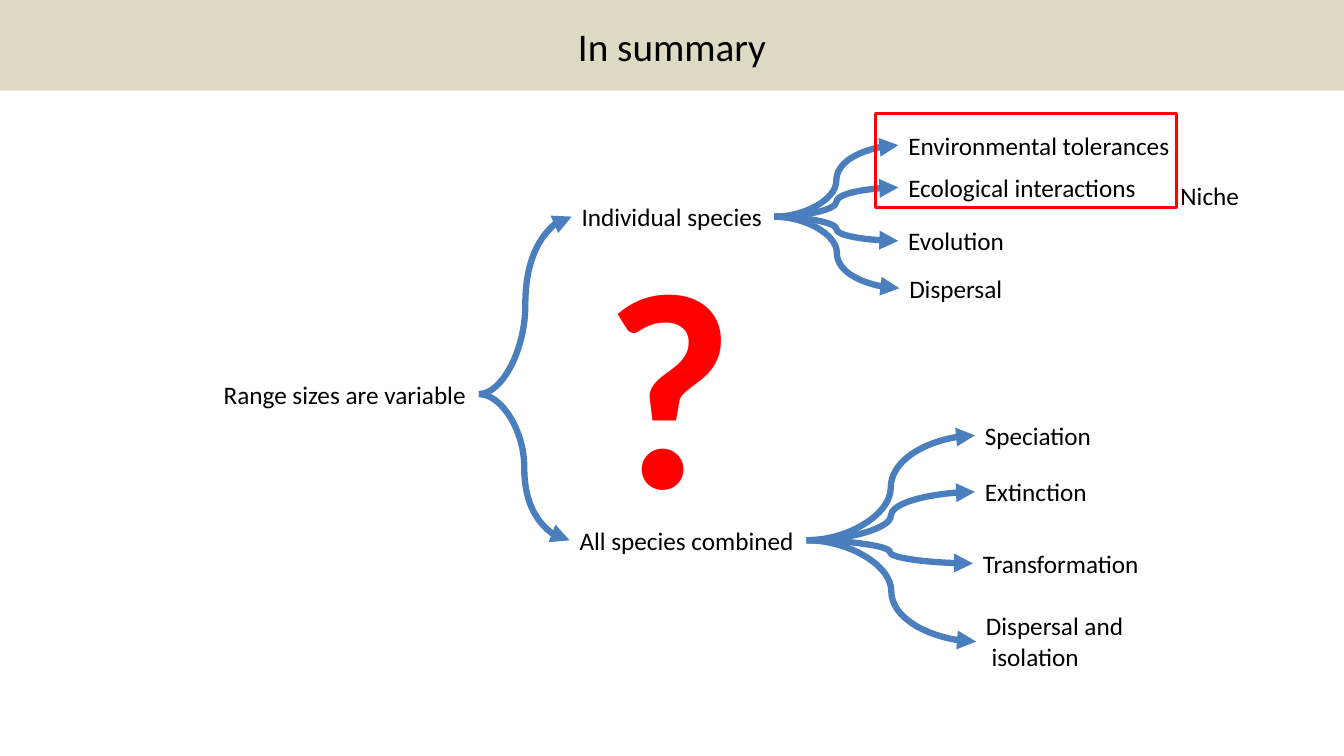
from dataclasses import dataclass
from typing import Optional

from lxml import etree
from pptx import Presentation
from pptx.dml.color import RGBColor
from pptx.enum import shapes, text
from pptx.oxml import ns
from pptx.util import Inches, Pt

BLACK = RGBColor(0, 0, 0)
RED = RGBColor(0xFF, 0, 0)
BLUE = RGBColor(0x4B, 0x7E, 0xBC)
SAND = RGBColor(0xDD, 0xD9, 0xC3)
FONT = "Calibri"


@dataclass(frozen=True)
class Label:
    text: str
    left: float
    top: float
    width: float
    height: float = 0.4
    parent: Optional["Label"] = None
    size: int = 18
    color: RGBColor = BLACK
    bold: bool = False

    @property
    def middle(self) -> float:
        return self.top + self.height / 2


RANGE = Label("Range sizes are variable", 2.12, 3.71, 2.63)
INDIVIDUAL = Label("Individual species", 5.67, 1.95, 2.01, parent=RANGE)
COMBINED = Label("All species combined", 5.65, 5.16, 2.35, parent=RANGE)
LABELS = [
    RANGE,
    INDIVIDUAL,
    Label("Environmental tolerances", 8.91, 1.24, 2.82, parent=INDIVIDUAL),
    Label("Ecological interactions", 8.91, 1.66, 2.48, parent=INDIVIDUAL),
    Label("Evolution", 8.91, 2.19, 1.16, parent=INDIVIDUAL),
    Label("Dispersal", 8.92, 2.66, 1.13, parent=INDIVIDUAL),
    COMBINED,
    Label("Speciation", 9.67, 4.12, 1.27, parent=COMBINED),
    Label("Extinction", 9.67, 4.68, 1.22, parent=COMBINED),
    Label("Transformation", 9.65, 5.39, 1.76, parent=COMBINED),
    Label("Dispersal and\n isolation", 9.68, 6.01, 1.58, 0.71, COMBINED),
    Label("Niche", 11.61, 1.74, 0.79),
    Label("?", 5.9, 2.02, 1.5, 3.47, size=200, color=RED, bold=True),
]


def add_title(s, wording: str) -> None:
    sp = s.shapes.title
    sp.left, sp.top, sp.width, sp.height = (Inches(v) for v in (0, 0, 13.33, 0.9))
    sp.fill.solid()
    sp.fill.fore_color.rgb = SAND
    tf = sp.text_frame
    tf.text = wording
    tf.auto_size = text.MSO_AUTO_SIZE.NONE
    tf.vertical_anchor = text.MSO_ANCHOR.MIDDLE
    p = tf.paragraphs[0]
    p.alignment = text.PP_ALIGN.CENTER
    p.font.name, p.font.size = FONT, Pt(28)
    p.font.color.rgb = BLACK


def add_label(s, label: Label) -> None:
    sp = s.shapes.add_textbox(Inches(label.left), Inches(label.top),
                              Inches(label.width), Inches(label.height))
    tf = sp.text_frame
    tf.text = label.text
    tf.word_wrap = False
    tf.auto_size = text.MSO_AUTO_SIZE.SHAPE_TO_FIT_TEXT
    for p in tf.paragraphs:
        p.font.name, p.font.size = FONT, Pt(label.size)
        p.font.bold = label.bold
        p.font.color.rgb = label.color


def add_arrow(s, start: Label, end: Label) -> None:
    cxn = s.shapes.add_connector(
        shapes.MSO_CONNECTOR.CURVE,
        Inches(start.left + start.width), Inches(start.middle),
        Inches(end.left), Inches(end.middle))
    cxn.line.color.rgb = BLUE
    cxn.line.width = Pt(4.5)
    sp_pr = cxn._element.spPr
    ln = sp_pr.find(ns.qn("a:ln"))
    etree.SubElement(ln, ns.qn("a:tailEnd"), type="triangle")
    etree.SubElement(sp_pr, ns.qn("a:effectLst"))


def add_niche_frame(s) -> None:
    sp = s.shapes.add_shape(shapes.MSO_SHAPE.RECTANGLE, Inches(8.68),
                            Inches(1.13), Inches(2.99), Inches(0.93))
    sp.shadow.inherit = False
    sp.fill.background()
    sp.line.color.rgb = RED
    sp.line.width = Pt(2)


def main() -> None:
    prs = Presentation()
    prs.slide_width, prs.slide_height = Inches(13.33), Inches(7.5)
    s = prs.slides.add_slide(prs.slide_layouts[5])
    add_title(s, "In summary")
    for label in LABELS:
        add_label(s, label)
        if label.parent:
            add_arrow(s, label.parent, label)
    add_niche_frame(s)
    prs.save("out.pptx")


if __name__ == "__main__":
    main()
